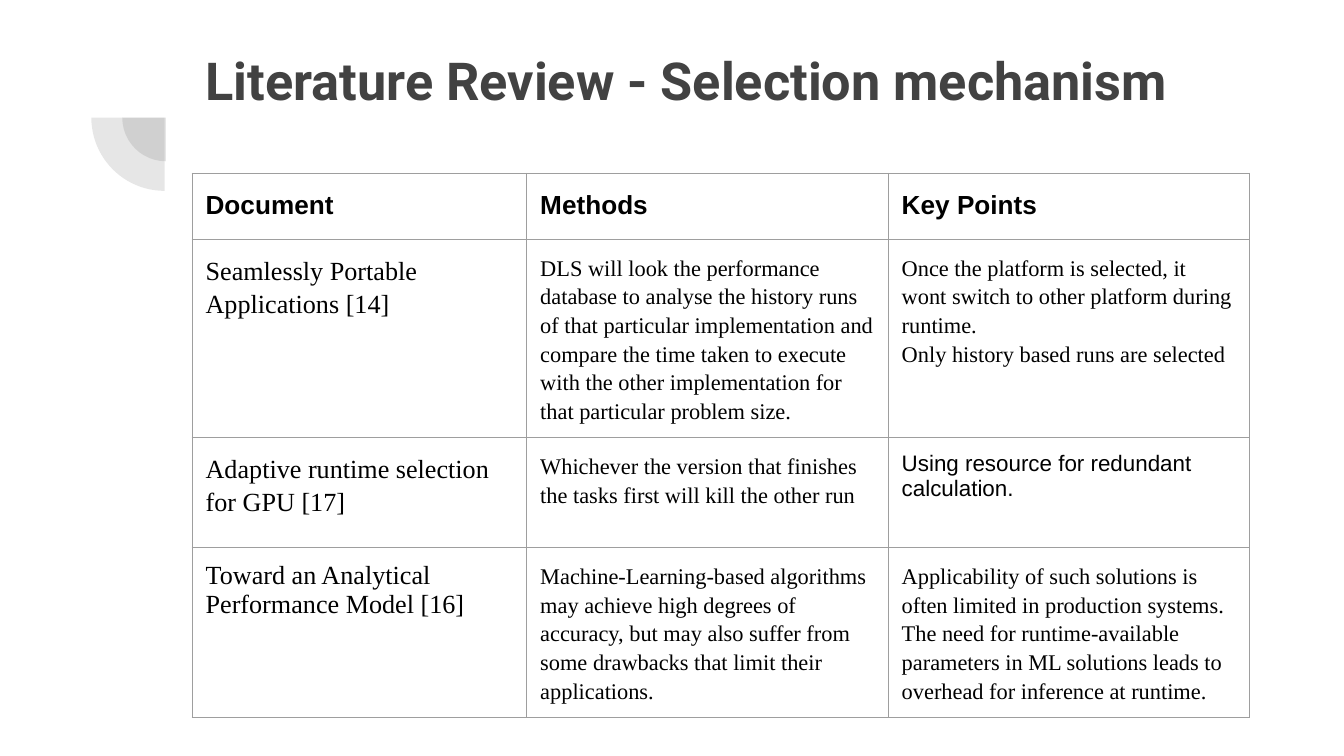
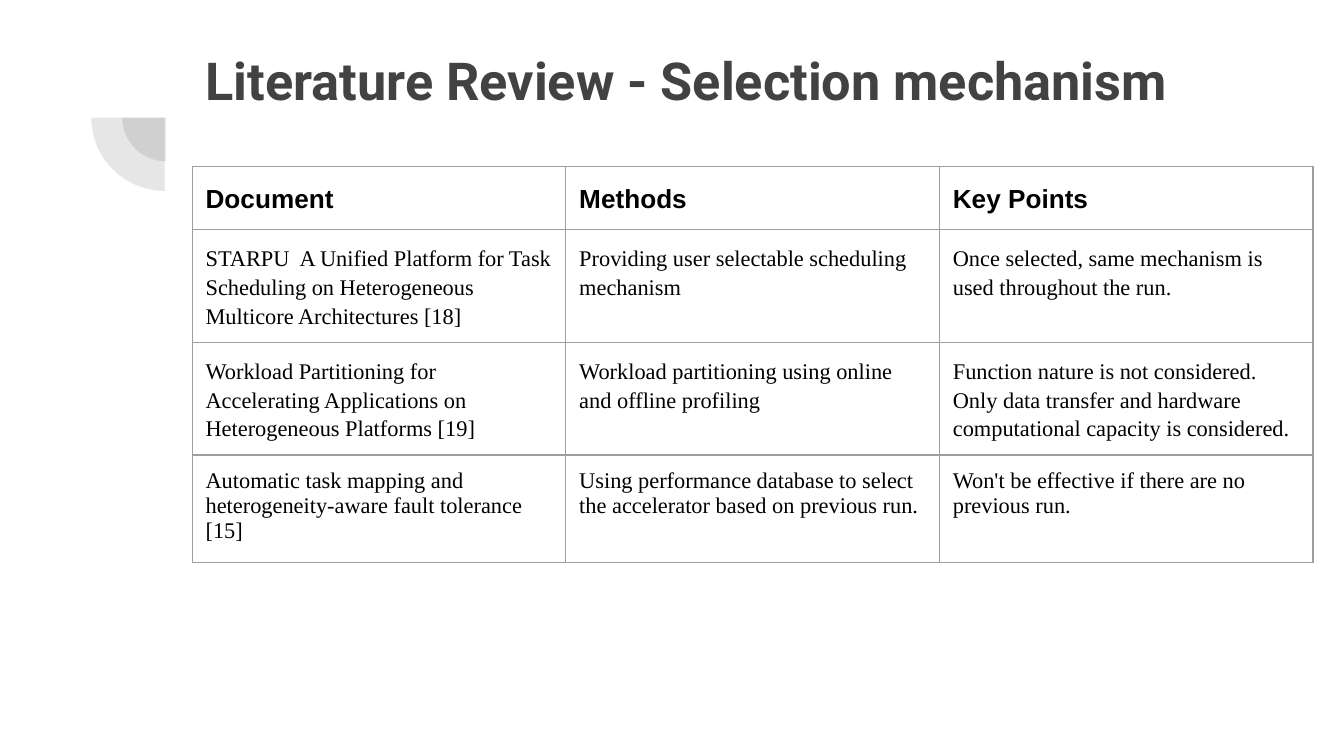
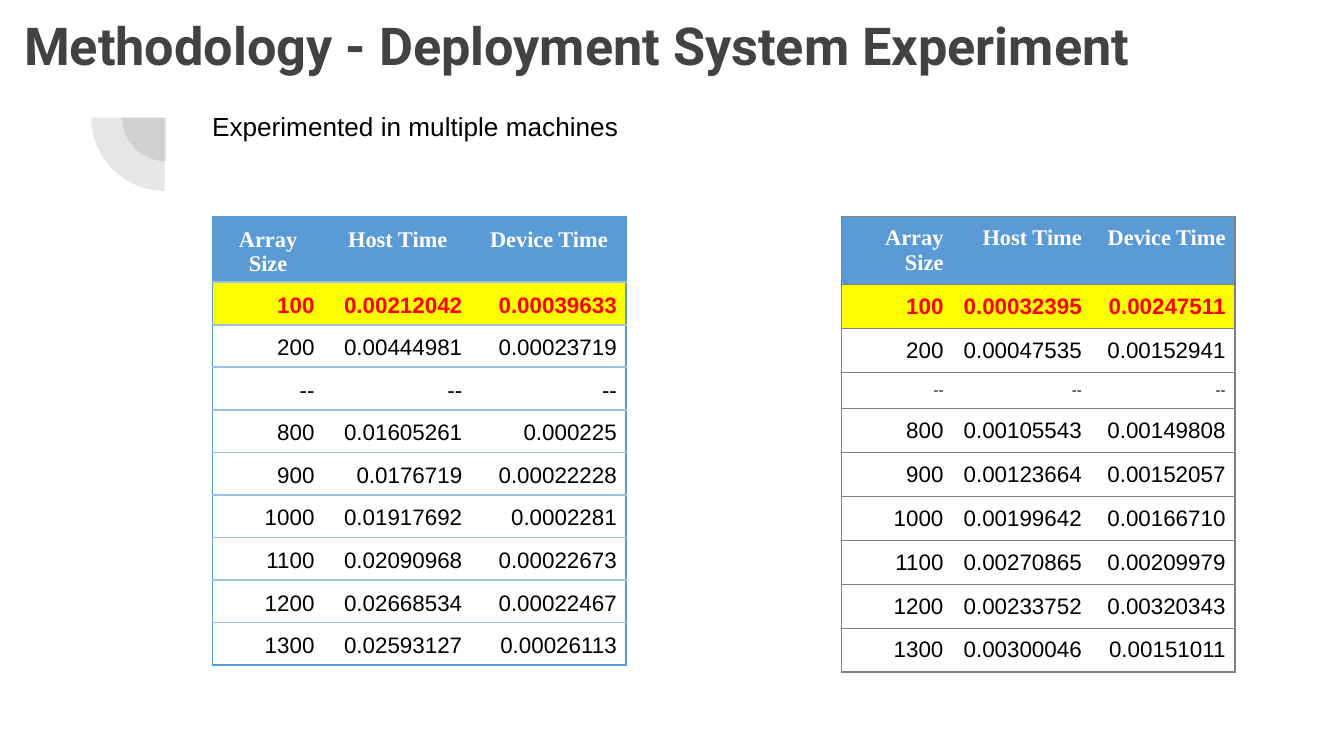
from dataclasses import dataclass, replace

from lxml import etree
from pptx import Presentation
from pptx.dml.color import RGBColor
from pptx.enum.shapes import MSO_SHAPE
from pptx.enum.text import MSO_ANCHOR, MSO_AUTO_SIZE, PP_ALIGN
from pptx.oxml.ns import qn
from pptx.util import Inches, Pt

LEFT, CENTER, RIGHT = PP_ALIGN.LEFT, PP_ALIGN.CENTER, PP_ALIGN.RIGHT
TOP, BOTTOM = MSO_ANCHOR.TOP, MSO_ANCHOR.BOTTOM
NO_AUTOFIT = MSO_AUTO_SIZE.NONE
PIE = MSO_SHAPE.PIE
TITLE_ONLY = 5

BLACK = RGBColor(0x00, 0x00, 0x00)
WHITE = RGBColor(0xFF, 0xFF, 0xFF)
CHARCOAL = RGBColor(0x42, 0x42, 0x42)
GRID_GREY = RGBColor(0x9E, 0x9E, 0x9E)
RULE_GREY = RGBColor(0x80, 0x80, 0x80)
BLUE = RGBColor(0x5B, 0x9B, 0xD5)
PALE_BLUE = RGBColor(0x9B, 0xC2, 0xE6)
YELLOW = RGBColor(0xFF, 0xFF, 0x00)
RED = RGBColor(0xFF, 0x00, 0x00)

SANS, SERIF, TITLE_FONT = "Arial", "Times New Roman", "Roboto"
REVIEW_TITLE = "Literature Review - Selection mechanism"
REVIEW_TITLE_BOX = (1.43, 0.26, 7.96, 0.69)
WEDGES = [(0.91, 0.55, 0.65), (0.68, 0.33, 1.09)]  # left, top, diameter


@dataclass(frozen=True)
class TextStyle:
    font: str = SANS
    size: float = 12
    color: RGBColor = BLACK
    bold: bool = False
    align: PP_ALIGN = LEFT
    spacing: float = 1.0


@dataclass(frozen=True)
class TimingLook:
    """What differs between the two timing tables."""
    header: TextStyle
    outer: tuple
    inner: tuple
    margins: tuple
    body_anchor: MSO_ANCHOR
    gap_size: float


TITLE = TextStyle(TITLE_FONT, 28, CHARCOAL, bold=True)
CAPTION = TextStyle(size=14)
HEADING = TextStyle(size=14, bold=True, spacing=1.15)
BODY = TextStyle(SERIF, spacing=1.15)
BODY_TIGHT = TextStyle(SERIF)
NAME = TextStyle(SERIF, 14, spacing=1.15)
NAME_TIGHT = TextStyle(SERIF, 14)
TIMING_HEADER = TextStyle(SERIF, 12, WHITE, bold=True, align=CENTER)
TIMING = TextStyle(align=RIGHT)
TIMING_HIGHLIGHT = TextStyle(color=RED, bold=True, align=RIGHT)

LEFT_LOOK = TimingLook(TIMING_HEADER, (BLUE, 1), (PALE_BLUE, 1),
                       (0.07, 0.08, 0.07, 0.02), TOP, 12)
RIGHT_LOOK = TimingLook(replace(TIMING_HEADER, align=RIGHT), (RULE_GREY, 0.75),
                        (RULE_GREY, 0.75), (0.07,) * 4, BOTTOM, 8)

REVIEW_HEADER = [("Document", HEADING), ("Methods", HEADING), ("Key Points", HEADING)]
RUNTIME_REVIEW = [
    [("Seamlessly Portable Applications [14]", NAME),
     ("DLS will look the performance database to analyse the history runs of that "
      "particular implementation and compare the time taken to execute with the "
      "other implementation for that particular problem size.", BODY),
     ("Once the platform is selected, it wont switch to other platform during "
      "runtime.\nOnly history based runs are selected", BODY)],
    [("Adaptive runtime selection for GPU [17]", NAME),
     ("Whichever the version that finishes the tasks first will kill the other run", BODY),
     ("Using resource for redundant calculation.", TextStyle())],
    [("Toward an Analytical Performance Model [16]", NAME_TIGHT),
     ("Machine-Learning-based algorithms may achieve high degrees of accuracy, but "
      "may also suffer from some drawbacks that limit their applications.", BODY),
     ("Applicability of such solutions is often limited in production systems.\n"
      "The need for runtime-available parameters in ML solutions leads to overhead "
      "for inference at runtime.", BODY)],
]
SCHEDULING_REVIEW = [
    [("STARPU  A Unified Platform for Task Scheduling on Heterogeneous Multicore "
      "Architectures [18]", BODY),
     ("Providing user selectable scheduling mechanism", BODY),
     ("Once selected, same mechanism is used throughout the run.", BODY)],
    [("Workload Partitioning for Accelerating Applications on Heterogeneous "
      "Platforms [19]", BODY),
     ("Workload partitioning using online and offline profiling", BODY),
     ("Function nature is not considered.\nOnly data transfer and hardware "
      "computational capacity is considered.", BODY)],
    [("Automatic task mapping and heterogeneity-aware fault tolerance [15]", BODY_TIGHT),
     ("Using performance database to select the accelerator based on previous run.",
      BODY_TIGHT),
     ("Won't be effective if there are no previous run.", BODY_TIGHT)],
]

TIMING_COLUMNS = ("Array Size", "Host Time", "Device Time")
GAP = ("--", "--", "--")
FIRST_MACHINE = [
    ("100", "0.00212042", "0.00039633"),
    ("200", "0.00444981", "0.00023719"),
    GAP,
    ("800", "0.01605261", "0.000225"),
    ("900", "0.0176719", "0.00022228"),
    ("1000", "0.01917692", "0.0002281"),
    ("1100", "0.02090968", "0.00022673"),
    ("1200", "0.02668534", "0.00022467"),
    ("1300", "0.02593127", "0.00026113"),
]
SECOND_MACHINE = [
    ("100", "0.00032395", "0.00247511"),
    ("200", "0.00047535", "0.00152941"),
    GAP,
    ("800", "0.00105543", "0.00149808"),
    ("900", "0.00123664", "0.00152057"),
    ("1000", "0.00199642", "0.00166710"),
    ("1100", "0.00270865", "0.00209979"),
    ("1200", "0.00233752", "0.00320343"),
    ("1300", "0.00300046", "0.00151011"),
]


def style_text(frame, style):
    for paragraph in frame.paragraphs:
        paragraph.alignment = style.align
        paragraph.line_spacing = style.spacing
        paragraph.font.name = style.font
        paragraph.font.size = Pt(style.size)
        paragraph.font.bold = style.bold
        paragraph.font.color.rgb = style.color


def set_margins(target, margins):
    (target.margin_left, target.margin_top,
     target.margin_right, target.margin_bottom) = map(Inches, margins)


def fill_frame(frame, text, style):
    frame.text = text
    frame.word_wrap = True
    frame.auto_size = NO_AUTOFIT
    frame.vertical_anchor = TOP
    set_margins(frame, (0.1,) * 4)
    style_text(frame, style)


def add_wedge(slide, left, top, diameter):
    """Quarter disc in translucent charcoal."""
    wedge = slide.shapes.add_shape(PIE, *map(Inches, (left, top, diameter, diameter)))
    wedge.adjustments[0], wedge.adjustments[1] = 108, 162  # 180 to 270 degrees
    wedge.rotation = 270
    wedge.shadow.inherit = False
    wedge.line.fill.background()
    wedge.fill.solid()
    wedge.fill.fore_color.rgb = CHARCOAL
    color = wedge.fill._xPr.find(".//" + qn("a:srgbClr"))
    etree.SubElement(color, qn("a:alpha"), val="13000")


def add_titled_slide(prs, title, box):
    slide = prs.slides.add_slide(prs.slide_layouts[TITLE_ONLY])
    for wedge in WEDGES:
        add_wedge(slide, *wedge)
    heading = slide.shapes.title
    heading.left, heading.top, heading.width, heading.height = map(Inches, box)
    fill_frame(heading.text_frame, title, TITLE)
    return slide


def set_borders(cell, left, right, top, bottom):
    """Each side is (colour, points), or None for no line."""
    properties = cell._tc.get_or_add_tcPr()
    for tag, side in zip(("lnL", "lnR", "lnT", "lnB"), (left, right, top, bottom)):
        line = etree.SubElement(properties, qn("a:" + tag))
        if side is None:
            etree.SubElement(line, qn("a:noFill"))
            continue
        color, width = side
        line.set("w", str(Pt(width)))
        solid = etree.SubElement(line, qn("a:solidFill"))
        etree.SubElement(solid, qn("a:srgbClr"), val=str(color))


def add_plain_table(slide, left, top, widths, heights):
    frame = slide.shapes.add_table(
        len(heights), len(widths), Inches(left), Inches(top),
        Inches(sum(widths)), Inches(sum(heights)))
    table = frame.table
    table.first_row = table.horz_banding = False
    for column, width in zip(table.columns, widths):
        column.width = Inches(width)
    for row, height in zip(table.rows, heights):
        row.height = Inches(height)
    return table


def fill_cell(cell, text, style, margins, borders, anchor=TOP, fill=None):
    cell.text = text
    style_text(cell.text_frame, style)
    set_margins(cell, margins)
    cell.vertical_anchor = anchor
    set_borders(cell, *borders)
    if fill is None:
        cell.fill.background()
    else:
        cell.fill.solid()
        cell.fill.fore_color.rgb = fill


def add_review_table(slide, top, widths, header_height, row_height, reviews):
    heights = [header_height] + [row_height] * len(reviews)
    table = add_plain_table(slide, 1.43, top, widths, heights)
    for r, row in enumerate([REVIEW_HEADER] + reviews):
        for c, (text, style) in enumerate(row):
            fill_cell(table.cell(r, c), text, style, (0.1,) * 4,
                      [(GRID_GREY, 0.75)] * 4)


def add_timing_table(slide, left, widths, heights, timings, look):
    table = add_plain_table(slide, left, 1.61, widths, heights)
    last_row, last_column = len(timings), len(widths) - 1
    for r, row in enumerate([TIMING_COLUMNS] + timings):
        style, fill, anchor = TIMING, WHITE, look.body_anchor
        if r == 0:
            style, fill, anchor = look.header, BLUE, TOP
        elif r == 1:
            style, fill = TIMING_HIGHLIGHT, YELLOW
        elif row is GAP:
            style, anchor = replace(TIMING, size=look.gap_size), TOP
        for c, text in enumerate(row):
            borders = (look.outer if c == 0 else None,
                       look.outer if c == last_column else None,
                       look.outer if r == 0 else look.inner,
                       look.outer if r == last_row else look.inner)
            fill_cell(table.cell(r, c), text, style, look.margins, borders, anchor, fill)


def main():
    prs = Presentation()
    prs.slide_width = Inches(10)
    prs.slide_height = prs.slide_width * 9 // 16

    # Literature review, both parts
    runtime = add_titled_slide(prs, REVIEW_TITLE, REVIEW_TITLE_BOX)
    add_review_table(runtime, 1.29, (2.49, 2.69, 2.69), 0.49, 0.82, RUNTIME_REVIEW)
    scheduling = add_titled_slide(prs, REVIEW_TITLE, REVIEW_TITLE_BOX)
    add_review_table(scheduling, 1.24, (2.78,) * 3, 0.47, 0.8, SCHEDULING_REVIEW)

    # Timings on two machines
    experiment = add_titled_slide(prs, "Methodology - Deployment System Experiment",
                                  (0.08, 0, 9.92, 0.72))
    add_timing_table(experiment, 6.26, (0.83, 1.03, 1.07),
                     [0.49, 0.32, 0.32, 0.27] + [0.32] * 6, SECOND_MACHINE, RIGHT_LOOK)
    add_timing_table(experiment, 1.58, (0.83, 1.1, 1.15),
                     [0.49] + [2.85 / 9] * 9, FIRST_MACHINE, LEFT_LOOK)
    caption = experiment.shapes.add_textbox(*map(Inches, (1.48, 0.72, 6.28, 0.6)))
    fill_frame(caption.text_frame, "Experimented in multiple machines", CAPTION)

    prs.save("out.pptx")


if __name__ == "__main__":
    main()
